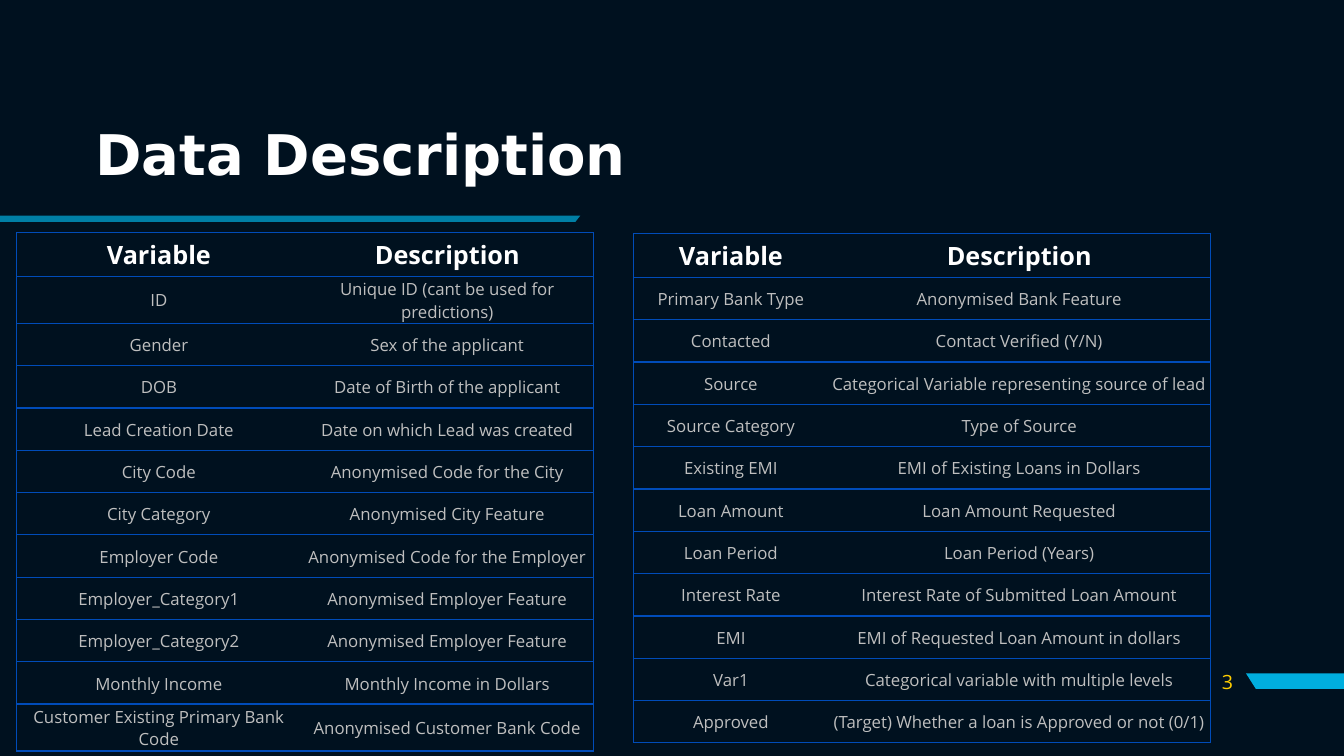
import pptx
import pptx.util
import pptx.dml.color
import pptx.enum.text
import pptx.oxml
import pptx.oxml.ns

Pt = pptx.util.Pt
RGB = pptx.dml.color.RGBColor
ALIGN = pptx.enum.text.PP_ALIGN
MIDDLE = pptx.enum.text.MSO_ANCHOR.MIDDLE
TOP = pptx.enum.text.MSO_ANCHOR.TOP
NAVY = RGB(0x00, 0x11, 0x1F)
CYAN = RGB(0x00, 0xAE, 0xDE)
BLUE = RGB(0x00, 0x4C, 0xB9)
WHITE = RGB(0xFF, 0xFF, 0xFF)
GREY = RGB(0xBF, 0xBF, 0xBF)
GOLD = RGB(0xFF, 0xCD, 0x00)
SPACE = pptx.oxml.ns.nsdecls("a")

HEAD = {"size": Pt(18), "name": "Open Sans", "bold": True}
BODY = {"size": Pt(12), "name": "Open Sans", "bold": False}
TITLE = {"size": Pt(40), "name": "DejaVu Sans", "bold": True}
COUNT = {"size": Pt(14), "name": "Open Sans", "bold": False}
INSETS = {"margin_left": Pt(0.72), "margin_right": Pt(0.72),
          "margin_top": Pt(0.72), "margin_bottom": 0}


def write(frame, text, style, color, align):
    line = frame.paragraphs[0]
    line.alignment = align
    run = line.add_run()
    run.text = text
    for key, value in style.items():
        setattr(run.font, key, value)
    run.font.color.rgb = color
    return line


def border(cell, sides):
    props = cell._tc.get_or_add_tcPr()
    for side in "LRTB":
        paint = "<a:noFill/>"
        if side in sides:
            paint = f'<a:solidFill><a:srgbClr val="{BLUE}"/></a:solidFill>'
        props.append(pptx.oxml.parse_xml(
            f'<a:ln{side} {SPACE} w="12700">{paint}</a:ln{side}>'))


deck = pptx.Presentation()
deck.slide_width = Pt(960)
deck.slide_height = Pt(540)
slide = deck.slides.add_slide(deck.slide_layouts[6])
slide.background.fill.solid()
slide.background.fill.fore_color.rgb = NAVY

bars = [
    ([(960, 481), (960, 492), (897, 492), (890, 481)], 100),
    ([(0, 154), (0, 158.5), (411, 158.5), (414.5, 154)], 70),
]
for points, alpha in bars:
    spots = [(Pt(x), Pt(y)) for x, y in points]
    pen = slide.shapes.build_freeform(*spots[0], scale=1.0)
    pen.add_line_segments(spots[1:], close=True)
    bar = pen.convert_to_shape()
    bar.shadow.inherit = False
    bar.fill.solid()
    bar.fill.fore_color.rgb = CYAN
    bar.line.fill.background()
    if alpha < 100:
        tint = bar._element.spPr.find(".//" + pptx.oxml.ns.qn("a:srgbClr"))
        tint.append(pptx.oxml.parse_xml(
            f'<a:alpha {SPACE} val="{alpha * 1000}"/>'))

labels = [
    ("Data Description", (61.2, 81.4, 398.2, 61.9), TITLE, WHITE, ALIGN.LEFT, 0.9),
    ("3", (844.6, 472.3, 43.2, 28.8), COUNT, GOLD, ALIGN.RIGHT, 1.0),
]
for text, place, style, color, align, gap in labels:
    frame = slide.shapes.add_textbox(*map(Pt, place)).text_frame
    frame.word_wrap = True
    frame.vertical_anchor = MIDDLE
    write(frame, text, style, color, align).line_spacing = gap

left = [
    ("Variable", "Description"),
    ("ID", "Unique ID (cant be used for predictions)"),
    ("Gender", "Sex of the applicant"),
    ("DOB", "Date of Birth of the applicant"),
    ("Lead Creation Date", "Date on which Lead was created"),
    ("City Code", "Anonymised Code for the City"),
    ("City Category", "Anonymised City Feature"),
    ("Employer Code", "Anonymised Code for the Employer"),
    ("Employer_Category1", "Anonymised Employer Feature"),
    ("Employer_Category2", "Anonymised Employer Feature"),
    ("Monthly Income", "Monthly Income in Dollars"),
    ("Customer Existing Primary Bank Code", "Anonymised Customer Bank Code"),
]
right = [
    ("Variable", "Description"),
    ("Primary Bank Type", "Anonymised Bank Feature"),
    ("Contacted", "Contact Verified (Y/N)"),
    ("Source", "Categorical Variable representing source of lead"),
    ("Source Category", "Type of Source"),
    ("Existing EMI", "EMI of Existing Loans in Dollars"),
    ("Loan Amount", "Loan Amount Requested"),
    ("Loan Period", "Loan Period (Years)"),
    ("Interest Rate", "Interest Rate of Submitted Loan Amount"),
    ("EMI", "EMI of Requested Loan Amount in dollars"),
    ("Var1", "Categorical variable with multiple levels"),
    ("Approved", "(Target) Whether a loan is Approved or not (0/1)"),
]
tables = [
    (left, 11.9, 166, (203.2, 208.8), {0: 31.5, 1: 33.5, 11: 33.5}),
    (right, 452.6, 166.7, (139, 272.9), {0: 31.5}),
]
for rows, x, y, widths, tall in tables:
    heights = [tall.get(r, 30.24) for r in range(len(rows))]
    grid = slide.shapes.add_table(
        len(rows), 2, Pt(x), Pt(y), Pt(sum(widths)), Pt(sum(heights))).table
    grid.first_row = False
    grid.horz_banding = False
    for column, width in zip(grid.columns, widths):
        column.width = Pt(width)
    for r, row in enumerate(rows):
        grid.rows[r].height = Pt(heights[r])
        for c, text in enumerate(row):
            cell = grid.cell(r, c)
            border(cell, "LTB" if c == 0 else "RTB")
            cell.fill.background()
            cell.vertical_anchor = MIDDLE if r else TOP
            if r:
                for key, value in INSETS.items():
                    setattr(cell, key, value)
            write(cell.text_frame, text, BODY if r else HEAD,
                  GREY if r else WHITE, ALIGN.CENTER)

deck.save("out.pptx")
